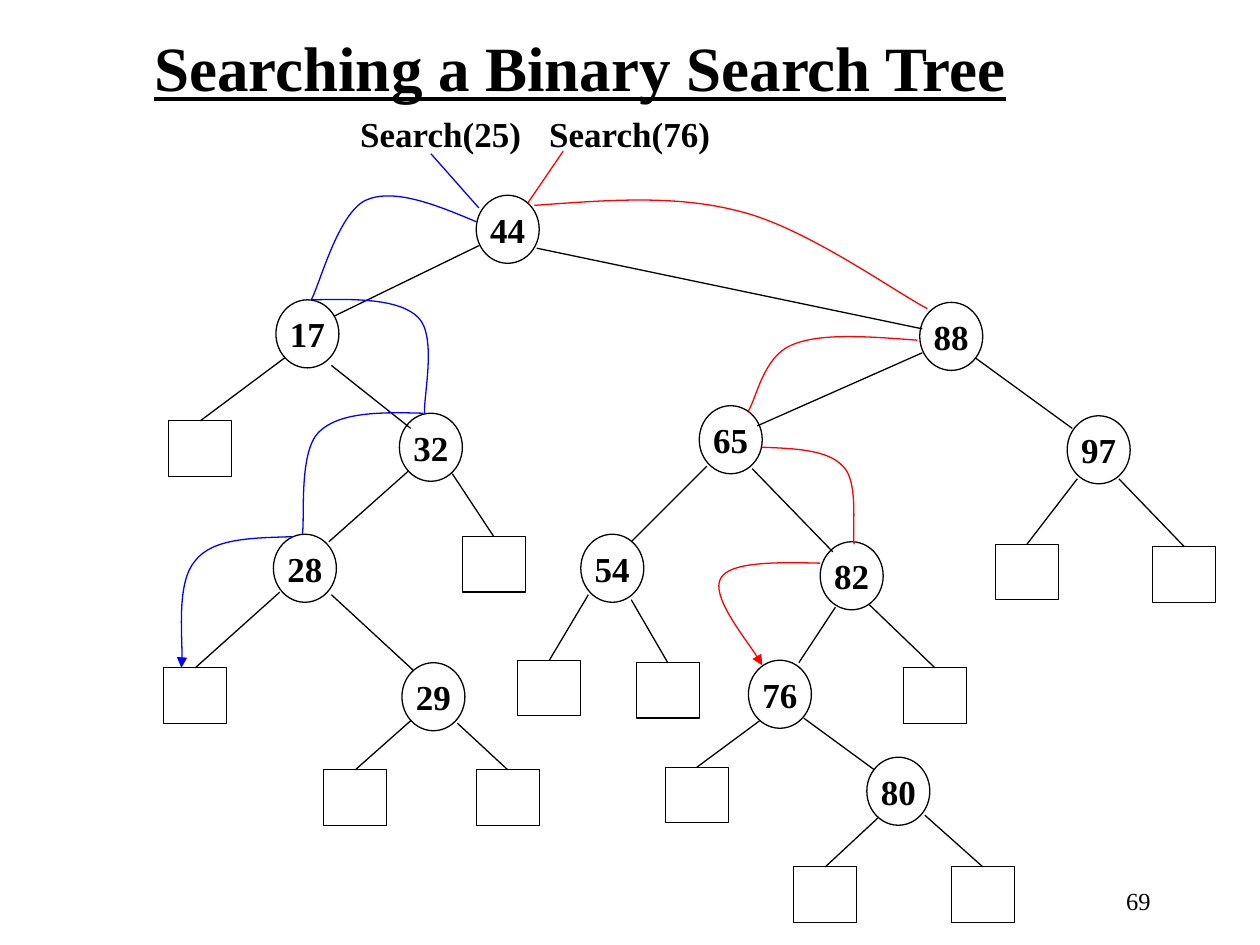
from dataclasses import dataclass

from lxml import etree
from pptx import Presentation
from pptx.dml.color import RGBColor
from pptx.enum.shapes import MSO_CONNECTOR as CONN, MSO_SHAPE as SHAPE
from pptx.enum.text import MSO_ANCHOR as ANCHOR, PP_ALIGN as ALIGN
from pptx.oxml.ns import qn
from pptx.util import Inches, Pt

COLORS = {"ink": "000000", "search25": "0000FF", "search76": "FF0000"}
FONT = "Times New Roman"
NODE_W, NODE_H = 0.5, 0.54
LEAF_W, LEAF_H = 0.5, 0.44
TOP = 0  # connection site in the middle of a rectangle's top side


@dataclass
class Node:
    key: int
    x: float
    y: float


@dataclass
class Edge:
    x1: float
    y1: float
    x2: float
    y2: float
    color: str = "ink"


@dataclass
class Leaf:
    x: float
    y: float
    parent_x: float  # where the edge leaves the parent node
    parent_y: float


@dataclass
class Route:
    color: str
    points: list[tuple[float, float]]  # start, then three points per Bezier curve
    arrow: bool = False


@dataclass
class Label:
    text: str
    x: float
    y: float
    w: float
    h: float
    size: int = 20
    bold: bool = True
    underline: bool = False
    align: ALIGN = ALIGN.LEFT
    wrap: bool = False


LABELS = [
    Label("69", 7.15, 6.98, 2.08, 0.5, size=14, bold=False, align=ALIGN.RIGHT, wrap=True),
    Label("Searching a Binary Search Tree", 1.09, 0.18, 7.03, 0.7, size=36,
          underline=True, align=ALIGN.CENTER),
    Label("Search(25)", 2.76, 0.84, 1.48, 0.43),
    Label("Search(76)", 4.26, 0.84, 1.48, 0.43),
]

NODES = [
    Node(44, 3.78, 1.55), Node(32, 3.17, 3.28), Node(65, 5.55, 3.22),
    Node(88, 7.3, 2.4), Node(28, 2.17, 4.24), Node(17, 2.19, 2.38),
    Node(80, 6.88, 6.01), Node(76, 5.94, 5.24), Node(97, 8.47, 3.3),
    Node(82, 6.51, 4.3), Node(54, 4.61, 4.24), Node(29, 3.19, 5.26),
]

EDGES = [
    Edge(3.8, 1.95, 2.65, 2.51), Edge(4.26, 1.97, 7.32, 2.61),
    Edge(2.63, 2.9, 3.26, 3.4), Edge(3.24, 3.74, 2.61, 4.3),
    Edge(2.63, 4.72, 3.28, 5.32), Edge(7.32, 2.8, 6.01, 3.38),
    Edge(7.74, 2.84, 8.51, 3.4), Edge(5.97, 3.72, 6.61, 4.38),
    Edge(5.61, 3.7, 5.01, 4.3), Edge(6.63, 4.82, 6.34, 5.26),
    Edge(6.38, 5.7, 6.94, 6.11),
    # Search labels to the root
    Edge(3.42, 1.22, 3.8, 1.65, "search25"), Edge(4.47, 1.2, 4.19, 1.61, "search76"),
]

LEAVES = [
    Leaf(7.9, 4.32, 8.55, 3.8), Leaf(9.15, 4.34, 8.88, 3.8),
    Leaf(5.28, 6.09, 6.03, 5.72), Leaf(7.17, 5.3, 6.9, 4.8),
    Leaf(1.3, 5.3, 2.22, 4.7), Leaf(1.34, 3.34, 2.26, 2.84),
    Leaf(2.57, 6.11, 3.26, 5.72), Leaf(3.78, 6.11, 3.63, 5.74),
    Leaf(3.67, 4.26, 3.59, 3.76), Leaf(4.11, 5.24, 4.67, 4.72),
    Leaf(5.05, 5.26, 5.01, 4.76), Leaf(6.3, 6.88, 6.97, 6.49),
    Leaf(7.55, 6.88, 7.34, 6.47),
]

ROUTES = [
    Route("search25", [(3.78, 1.76), (3.45, 1.62), (3.12, 1.49), (2.9, 1.59),
                       (2.68, 1.7), (2.54, 2.25), (2.47, 2.38)]),
    Route("search25", [(2.47, 2.38), (2.82, 2.37), (3.17, 2.37), (3.32, 2.52),
                       (3.47, 2.67), (3.36, 3.15), (3.37, 3.28)]),
    Route("search25", [(3.36, 3.28), (3.02, 3.27), (2.69, 3.27), (2.53, 3.43),
                       (2.37, 3.59), (2.42, 4.1), (2.4, 4.24)]),
    Route("search25", [(2.32, 4.26), (2.01, 4.27), (1.69, 4.27), (1.55, 4.45),
                       (1.4, 4.62), (1.46, 5.16), (1.44, 5.3)], arrow=True),
    Route("search76", [(4.24, 1.63), (4.8, 1.59), (5.36, 1.54), (5.88, 1.68),
                       (6.4, 1.81), (7.11, 2.32), (7.36, 2.45)]),
    Route("search76", [(7.28, 2.7), (6.89, 2.67), (6.5, 2.64), (6.28, 2.74),
                       (6.06, 2.83), (6, 3.17), (5.94, 3.26)]),
    Route("search76", [(6.05, 3.55), (6.31, 3.56), (6.57, 3.57), (6.69, 3.7),
                       (6.82, 3.82), (6.76, 4.22), (6.78, 4.32)]),
    Route("search76", [(6.51, 4.47), (6.15, 4.46), (5.79, 4.46), (5.72, 4.59),
                       (5.64, 4.73), (5.99, 5.16), (6.05, 5.28)], arrow=True),
]


def rgb(name: str) -> RGBColor:
    return RGBColor.from_string(COLORS[name])


def set_line(sp, color: str) -> None:
    sp.line.color.rgb = rgb(color)
    sp.line.width = Pt(0.75)


def outline(sp, color: str = "ink") -> None:
    sp.shadow.inherit = False
    sp.fill.background()
    set_line(sp, color)


def write(tf, text: str, size: int, bold: bool, align: ALIGN, underline: bool = False) -> None:
    p = tf.paragraphs[0]
    p.alignment = align
    r = p.add_run()
    r.text = text
    r.font.name, r.font.size = FONT, Pt(size)
    r.font.bold, r.font.underline = bold, underline
    r.font.color.rgb = rgb("ink")


def draw_label(shapes, label: Label) -> None:
    box = shapes.add_textbox(Inches(label.x), Inches(label.y), Inches(label.w), Inches(label.h))
    tf = box.text_frame
    tf.word_wrap = label.wrap
    write(tf, label.text, label.size, label.bold, label.align, label.underline)


def draw_node(shapes, node: Node) -> None:
    sp = shapes.add_shape(SHAPE.OVAL, Inches(node.x), Inches(node.y),
                          Inches(NODE_W), Inches(NODE_H))
    outline(sp)
    tf = sp.text_frame
    tf.word_wrap = False
    tf.vertical_anchor = ANCHOR.MIDDLE
    write(tf, str(node.key), 20, True, ALIGN.CENTER)


def draw_edge(shapes, edge: Edge):
    line = shapes.add_connector(CONN.STRAIGHT, Inches(edge.x1), Inches(edge.y1),
                                Inches(edge.x2), Inches(edge.y2))
    set_line(line, edge.color)
    etree.SubElement(line._element.spPr, qn("a:effectLst"))
    return line


def draw_leaf(shapes, leaf: Leaf) -> None:
    sp = shapes.add_shape(SHAPE.RECTANGLE, Inches(leaf.x), Inches(leaf.y),
                          Inches(LEAF_W), Inches(LEAF_H))
    outline(sp)
    line = draw_edge(shapes, Edge(leaf.parent_x, leaf.parent_y, leaf.x + LEAF_W / 2, leaf.y))
    line.end_connect(sp, TOP)


def draw_route(shapes, route: Route) -> None:
    start, *rest = [(Inches(x), Inches(y)) for x, y in route.points]
    builder = shapes.build_freeform(*start)
    builder.add_line_segments(rest, close=False)
    sp = builder.convert_to_shape()
    outline(sp, route.color)
    # Turn every three segments into one cubic Bezier curve
    path = sp._element.find(".//" + qn("a:path"))
    segments = path.findall(qn("a:lnTo"))
    for i in range(0, len(segments), 3):
        curve = etree.SubElement(path, qn("a:cubicBezTo"))
        for segment in segments[i:i + 3]:
            curve.append(segment[0])
            path.remove(segment)
    if route.arrow:
        etree.SubElement(sp.line._get_or_add_ln(), qn("a:tailEnd"), type="triangle")


def main() -> None:
    prs = Presentation()
    prs.slide_width, prs.slide_height = Inches(10), Inches(7.5)
    shapes = prs.slides.add_slide(prs.slide_layouts[6]).shapes

    # Tree, labels, then the search paths on top
    for draw, items in ((draw_node, NODES), (draw_edge, EDGES), (draw_leaf, LEAVES),
                        (draw_label, LABELS), (draw_route, ROUTES)):
        for item in items:
            draw(shapes, item)

    prs.save("out.pptx")


if __name__ == "__main__":
    main()
